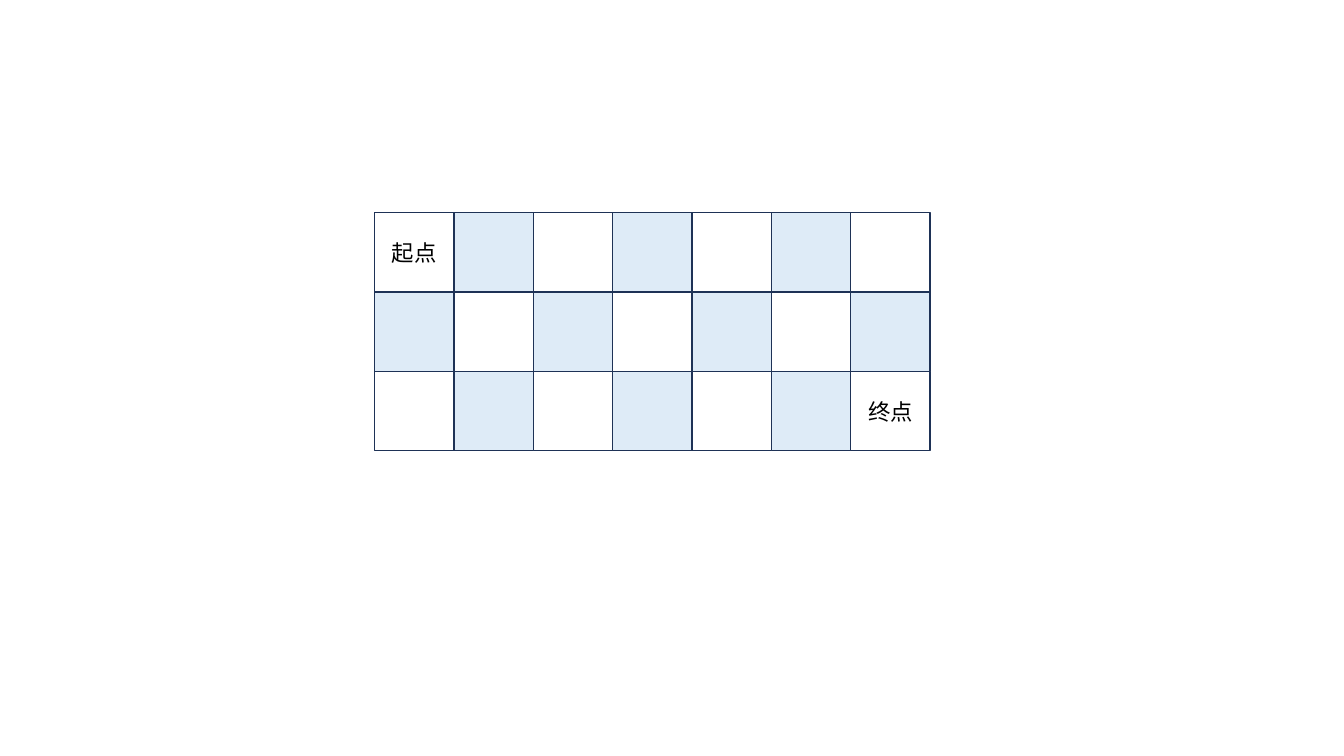
import pptx
import pptx.dml.color
import pptx.enum.shapes
import pptx.enum.text
import pptx.oxml.ns
import pptx.util
from lxml import etree

Cm = pptx.util.Cm
Pt = pptx.util.Pt


def color(code):
    return pptx.dml.color.RGBColor.from_string(code)


class Board:
    font = "Noto Sans CJK SC"
    size = 16
    ink = "000000"
    edge = "1E3256"
    fills = ("FFFFFF", "DEEBF7")

    def __init__(self, slide):
        self.slide = slide

    def cell(self, left, top, side, fill, label=""):
        box = self.slide.shapes.add_shape(
            pptx.enum.shapes.MSO_SHAPE.RECTANGLE,
            Cm(left), Cm(top), Cm(side), Cm(side))
        box.shadow.inherit = False
        box.fill.solid()
        box.fill.fore_color.rgb = color(fill)
        box.line.color.rgb = color(self.edge)
        box.line.width = Pt(1)
        if label:
            self.label(box.text_frame, label)

    def label(self, frame, text):
        frame.vertical_anchor = pptx.enum.text.MSO_ANCHOR.MIDDLE
        para = frame.paragraphs[0]
        para.text = text
        para.alignment = pptx.enum.text.PP_ALIGN.CENTER
        para.font.size = Pt(self.size)
        para.font.color.rgb = color(self.ink)
        para.font.name = self.font
        qn = pptx.oxml.ns.qn
        props = para._p.pPr.find(qn("a:defRPr"))
        etree.SubElement(props, qn("a:ea"), typeface=self.font)

    def grid(self, left, top, side, rows, cols, labels):
        """Draw a checkered grid; labels maps (row, col) to text."""
        for row in range(rows):
            for col in range(cols):
                self.cell(left + col * side, top + row * side, side,
                          self.fills[(row + col) % 2],
                          labels.get((row, col), ""))


def main():
    deck = pptx.Presentation()
    deck.slide_width = Cm(33.87)
    deck.slide_height = Cm(19.05)
    blank = deck.slide_layouts[6]
    board = Board(deck.slides.add_slide(blank))
    rows, cols = 3, 7
    labels = {(0, 0): "起点", (rows - 1, cols - 1): "终点"}
    board.grid(9.44, 5.36, 2, rows, cols, labels)
    deck.save("out.pptx")


if __name__ == "__main__":
    main()
